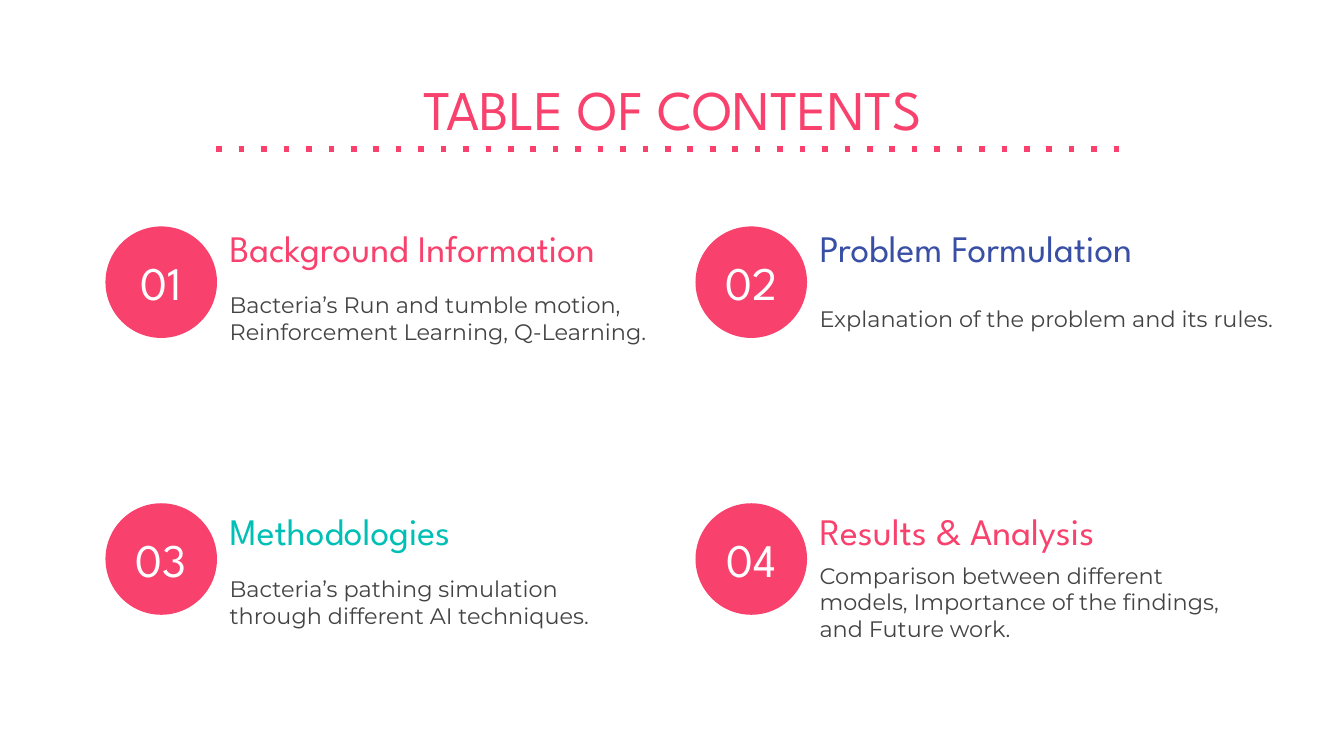
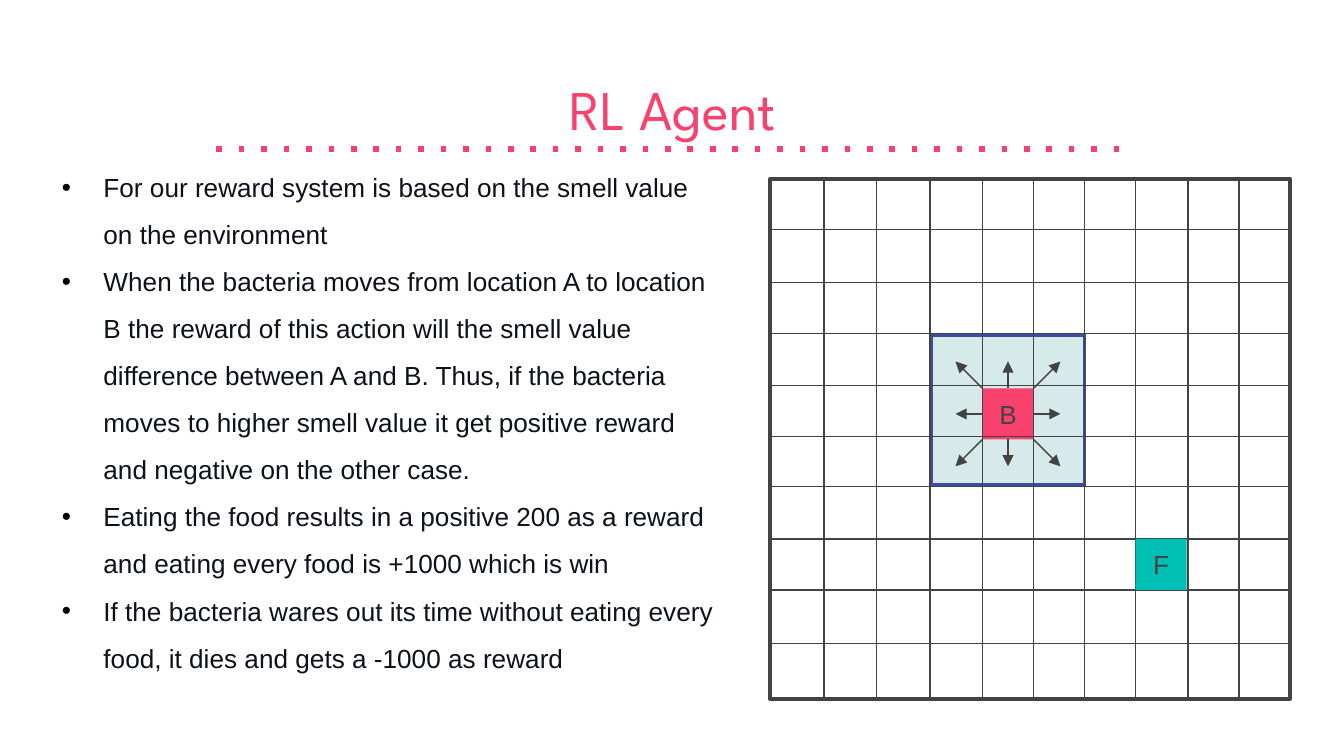
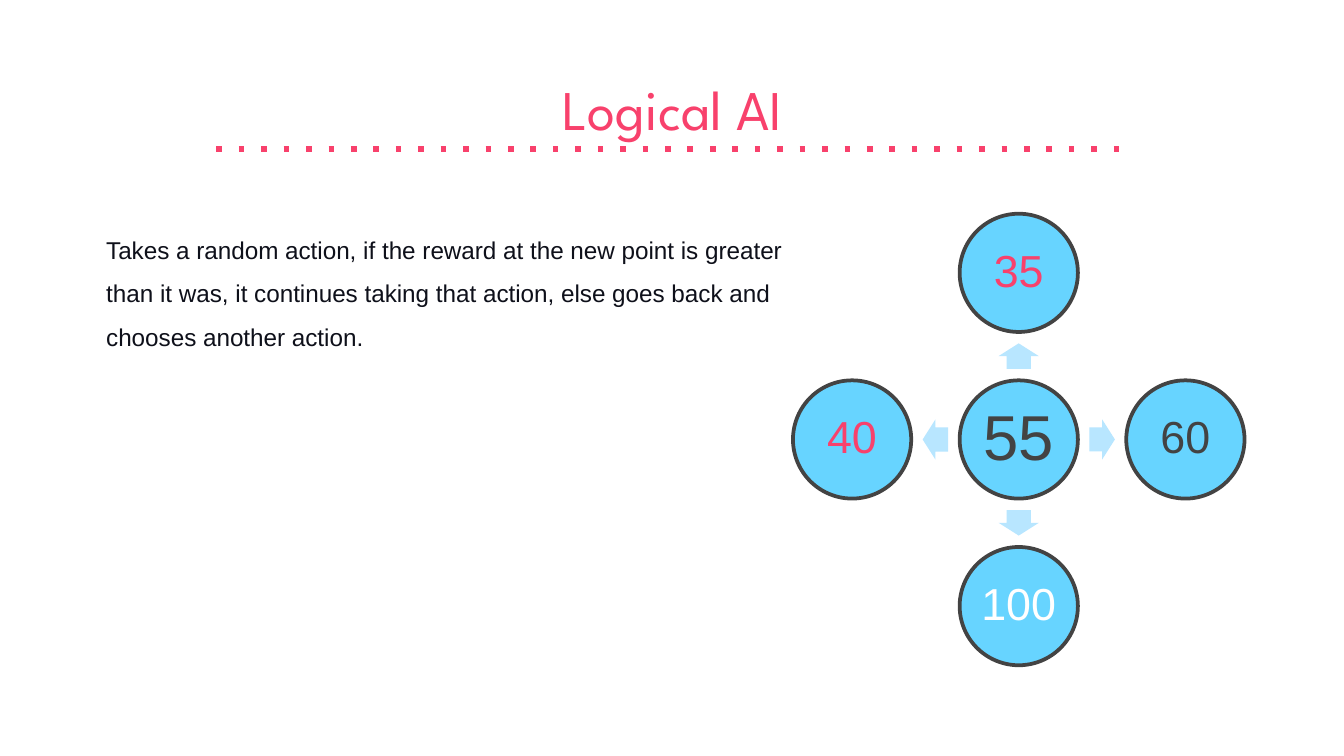
from itertools import product

from lxml.etree import SubElement
from pptx import Presentation
from pptx.dml.color import RGBColor
from pptx.enum.shapes import MSO_CONNECTOR, MSO_SHAPE
from pptx.enum.text import MSO_ANCHOR, MSO_AUTO_SIZE, PP_ALIGN
from pptx.oxml.ns import qn
from pptx.util import Inches, Pt

COLORS = {
    "pink": "F8416C", "blue": "384FA5", "teal": "00BFB5", "gray": "434343",
    "ink": "0E101A", "white": "FFFFFF", "black": "000000",
    "mist": "D7EAEA", "sky": "67D4FF", "pale_sky": "B8E6FF",
}
HEADING, BODY, PLAIN = "League Spartan", "Montserrat", "Arial"
TITLE_ONLY, TITLE_AND_BODY = 5, 1


def color(name):
    return RGBColor.from_string(COLORS[name])


def set_bullet(paragraph, bullet, indent):
    properties = paragraph._p.get_or_add_pPr()
    properties.set("marL", str(Inches(indent)))
    properties.set("indent", str(-Inches(indent)))
    if not bullet:
        SubElement(properties, qn("a:buNone"))
        return
    fill = SubElement(SubElement(properties, qn("a:buClr")), qn("a:srgbClr"))
    fill.set("val", COLORS["black"])
    SubElement(properties, qn("a:buFont")).set("typeface", PLAIN)
    SubElement(properties, qn("a:buChar")).set("char", bullet)


def write_text(shape, *lines, font=PLAIN, size=14, ink="gray", align=PP_ALIGN.LEFT,
               anchor=MSO_ANCHOR.MIDDLE, spacing=1.0, inset=(0.1, 0.1),
               bullet=None, indent=0):
    frame = shape.text_frame
    frame.word_wrap = True
    frame.auto_size = MSO_AUTO_SIZE.NONE
    frame.vertical_anchor = anchor
    frame.margin_left = frame.margin_right = Inches(inset[0])
    frame.margin_top = frame.margin_bottom = Inches(inset[1])
    for number, line in enumerate(lines):
        paragraph = frame.add_paragraph() if number else frame.paragraphs[0]
        paragraph.text = line
        paragraph.alignment = align
        paragraph.line_spacing = spacing
        paragraph.space_before = paragraph.space_after = Pt(0)
        set_bullet(paragraph, bullet, indent)
        paragraph.font.name = font
        paragraph.font.size = Pt(size)
        paragraph.font.color.rgb = color(ink)


class Deck:
    """Holds the presentation, its shared style and the current slide."""

    def __init__(self):
        self.presentation = Presentation()
        self.presentation.slide_width = Inches(10)
        self.presentation.slide_height = Inches(10) * 9 // 16
        self.slide = None

    def new_slide(self, title, layout=TITLE_ONLY):
        layouts = self.presentation.slide_layouts
        self.slide = self.presentation.slides.add_slide(layouts[layout])
        heading = self.slide.shapes.title
        self.place(heading, 0.79, 0.49, 8.43, 0.63)
        write_text(heading, title, font=HEADING, size=30, ink="pink",
                   align=PP_ALIGN.CENTER)
        self.line(1.61, 1.11, 8.39, 1.11, ink="pink", width=3, dash="dot")

    def place(self, shape, left, top, width, height):
        shape.left, shape.top = Inches(left), Inches(top)
        shape.width, shape.height = Inches(width), Inches(height)

    def body(self, left, top, width, height, *lines, **style):
        placeholder = self.slide.placeholders[1]
        self.place(placeholder, left, top, width, height)
        write_text(placeholder, *lines, ink="ink", anchor=MSO_ANCHOR.TOP,
                   spacing=1.5, inset=(0.1, 0.05), **style)

    def text(self, left, top, width, height, content, **style):
        box = self.slide.shapes.add_textbox(
            Inches(left), Inches(top), Inches(width), Inches(height))
        write_text(box, content, **style)

    def shape(self, kind, left, top, width, height, fill=None, outline=None):
        shape = self.slide.shapes.add_shape(
            kind, Inches(left), Inches(top), Inches(width), Inches(height))
        shape.shadow.inherit = False
        if fill:
            shape.fill.solid()
            shape.fill.fore_color.rgb = color(fill)
        else:
            shape.fill.background()
        if outline:
            shape.line.color.rgb = color(outline)
            shape.line.width = Pt(2)
        else:
            shape.line.fill.background()
        return shape

    def cell(self, left, top, side, letter, fill):
        square = self.shape(MSO_SHAPE.RECTANGLE, left, top, side, side, fill)
        write_text(square, letter, align=PP_ALIGN.CENTER)
        return square

    def disc(self, center_x, center_y, diameter, label, fill, outline=None,
             label_width=0.63, label_height=0.63, **style):
        self.shape(MSO_SHAPE.OVAL, center_x - diameter / 2,
                   center_y - diameter / 2, diameter, diameter, fill, outline)
        self.text(center_x - label_width / 2, center_y - label_height / 2,
                  label_width, label_height, label, align=PP_ALIGN.CENTER, **style)

    def block_arrow(self, center_x, center_y, rotation):
        width, height = 0.19, 0.3
        arrow = self.shape(MSO_SHAPE.RIGHT_ARROW, center_x - width / 2,
                           center_y - height / 2, width, height, "pale_sky")
        arrow.adjustments[0], arrow.adjustments[1] = 0.6, 0.5
        arrow.rotation = rotation

    def line(self, x1, y1, x2, y2, ink="gray", width=0.75, dash=None, arrow=False):
        connector = self.slide.shapes.add_connector(
            MSO_CONNECTOR.STRAIGHT, Inches(x1), Inches(y1), Inches(x2), Inches(y2))
        connector.line.color.rgb = color(ink)
        connector.line.width = Pt(width)
        properties = connector._element.spPr
        outline = properties.find(qn("a:ln"))
        if dash:
            SubElement(outline, qn("a:prstDash")).set("val", dash)
        if arrow:
            SubElement(outline, qn("a:tailEnd")).set("type", "triangle")
        SubElement(properties, qn("a:effectLst"))
        return connector


def add_contents(deck):
    deck.new_slide("TABLE OF CONTENTS")
    # Each topic: heading, its color and width, description and its width
    topics = [
        ("Background Information", "pink", 3.49,
         "Bacteria’s Run and tumble motion, Reinforcement Learning, Q-Learning.", 3.39),
        ("Problem Formulation", "blue", 3.21,
         "Explanation of the problem and its rules.", 3.58),
        ("Methodologies", "teal", 3.21,
         "Bacteria’s pathing simulation through different AI techniques.", 3.21),
        ("Results & Analysis", "pink", 3.21,
         "Comparison between different models, Importance of the findings, "
         "and Future work.", 3.4),
    ]
    columns = [(1.2, 1.61), (5.59, 6)]            # disc center, text left
    rows = [(2.1, 1.64, 2.14), (4.16, 3.74, 4.25)]  # disc center, text tops
    cells = product(rows, columns)
    for number, (topic, (row, column)) in enumerate(zip(topics, cells), 1):
        heading, ink, heading_width, description, description_width = topic
        disc_y, heading_top, description_top = row
        disc_x, text_left = column
        deck.disc(disc_x, disc_y, 0.83, f"{number:02}", "pink", label_width=0.66,
                  label_height=0.41, font=HEADING, size=25, ink="white")
        deck.text(text_left, heading_top, heading_width, 0.41, heading,
                  font=HEADING, size=20, ink=ink)
        deck.text(text_left, description_top, description_width, 0.46, description,
                  font=BODY, size=12)


def add_agent(deck):
    deck.new_slide("RL Agent", TITLE_AND_BODY)
    deck.body(
        0.36, 1.11, 5.1, 4.3,
        "For our reward system is based on the smell value on the environment",
        "When the bacteria moves from location A to location B the reward of this "
        "action will the smell value difference between A and B. Thus, if the "
        "bacteria moves to higher smell value it get positive reward and negative "
        "on the other case.",
        "Eating the food results in a positive 200 as a reward and eating every "
        "food is +1000 which is win",
        "If the bacteria wares out its time without eating every food, it dies and "
        "gets a -1000 as reward",
        bullet="•", indent=0.31)

    # Bacteria with its eight possible moves
    deck.shape(MSO_SHAPE.RECTANGLE, 6.93, 2.49, 1.14, 1.12, "mist", "blue")
    side, reach = 0.38, 0.39
    center_x, center_y = 7.5, 3.08
    bacteria = deck.cell(center_x - side / 2, center_y - side / 2, side, "B", "pink")
    sides = {(0, -1): 0, (-1, 0): 1, (0, 1): 2, (1, 0): 3}
    for step in product((-1, 0, 1), repeat=2):
        if step == (0, 0):
            continue
        step_x, step_y = step
        move = deck.line(center_x + step_x * side / 2, center_y + step_y * side / 2,
                         center_x + step_x * reach, center_y + step_y * reach,
                         arrow=True)
        if step in sides:
            move.begin_connect(bacteria, sides[step])

    # Environment grid, with slightly uneven cells
    left, top, size = 5.73, 1.33, 3.87
    deck.shape(MSO_SHAPE.RECTANGLE, left, top, size, size, outline="gray")
    for x in (6.13, 6.52, 6.92, 7.31, 7.69, 8.07, 8.45, 8.84, 9.22):
        deck.line(x, top, x, top + size)
    for y in (1.71, 2.1, 2.48, 2.87, 3.25, 3.62, 4.01, 4.39, 4.79):
        deck.line(left, y, left + size, y)

    # Food
    deck.cell(8.45, 4.01, 0.38, "F", "teal")


def add_logical_ai(deck):
    deck.new_slide("Logical AI", TITLE_AND_BODY)
    deck.body(
        0.69, 1.59, 5.36, 1.04,
        "Takes a random action, if the reward at the new point is greater than it "
        "was, it continues taking that action, else goes back and chooses another "
        "action.", size=13)

    # Current point and the rewards around it
    center_x, center_y, gap = 7.58, 3.27, 0.62
    disc_style = dict(fill="sky", outline="gray", spacing=0.9, inset=(0.03, 0.03))
    deck.disc(center_x, center_y, 0.88, "55", size=34, **disc_style)
    neighbors = [
        ("35", "pink", 0, -1, 270), ("60", "gray", 1, 0, 0),
        ("100", "white", 0, 1, 90), ("40", "pink", -1, 0, 180),
    ]
    for reward, ink, step_x, step_y, rotation in neighbors:
        deck.block_arrow(center_x + step_x * gap, center_y + step_y * gap, rotation)
        deck.disc(center_x + step_x * gap * 2, center_y + step_y * gap * 2, 0.88,
                  reward, size=24, ink=ink, **disc_style)


def main():
    deck = Deck()
    add_contents(deck)
    add_agent(deck)
    add_logical_ai(deck)
    deck.presentation.save("out.pptx")


if __name__ == "__main__":
    main()
